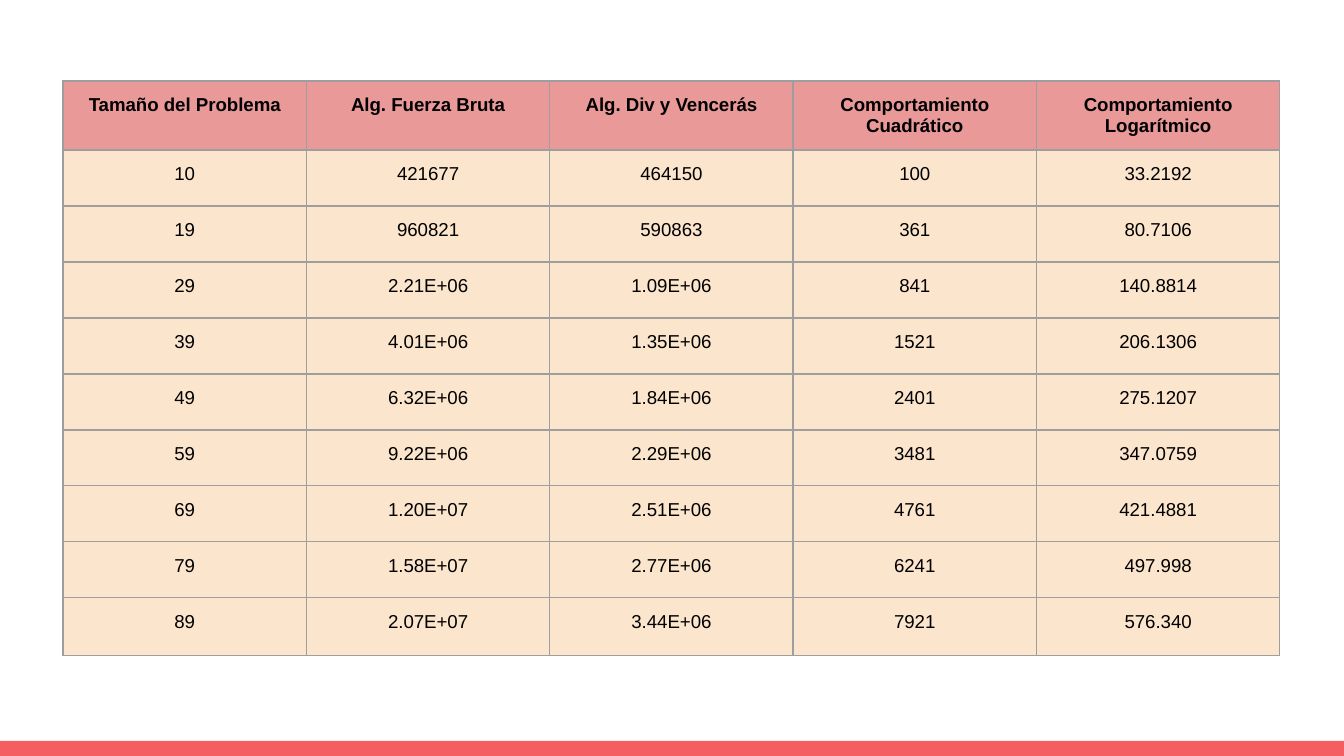
from lxml.etree import SubElement
from pptx import Presentation
from pptx.dml.color import RGBColor
from pptx.enum.shapes import MSO_SHAPE
from pptx.enum.text import MSO_ANCHOR, PP_ALIGN
from pptx.oxml.ns import qn
from pptx.util import Emu, Pt

SCALE = 914400 / 134.4
SLIDE_WIDTH, SLIDE_HEIGHT = 1344, 756
COLORS = {
    "bar": "F55E61",
    "header": "EA9999",
    "body": "FCE5CD",
    "border": "9E9E9E",
    "text": "000000",
}
HEADINGS = (
    "Tamaño del Problema",
    "Alg. Fuerza Bruta",
    "Alg. Div y Vencerás",
    "Comportamiento Cuadrático",
    "Comportamiento Logarítmico",
)
RESULTS = (
    ("10", "421677", "464150", "100", "33.2192"),
    ("19", "960821", "590863", "361", "80.7106"),
    ("29", "2.21E+06", "1.09E+06", "841", "140.8814"),
    ("39", "4.01E+06", "1.35E+06", "1521", "206.1306"),
    ("49", "6.32E+06", "1.84E+06", "2401", "275.1207"),
    ("59", "9.22E+06", "2.29E+06", "3481", "347.0759"),
    ("69", "1.20E+07", "2.51E+06", "4761", "421.4881"),
    ("79", "1.58E+07", "2.77E+06", "6241", "497.998"),
    ("89", "2.07E+07", "3.44E+06", "7921", "576.340"),
)


def px(length):
    return Emu(round(length * SCALE))


def color(name):
    return RGBColor.from_string(COLORS[name])


def set_attributes(target, values):
    for name, value in values.items():
        setattr(target, name, value)


class SlideBuilder:
    """Draws styled elements on the current slide."""

    font_format = {"name": "Arial", "size": Pt(10)}
    table_format = {"first_row": False, "horz_banding": False}
    cell_format = {
        "margin_left": Emu(91425),
        "margin_right": Emu(91425),
        "margin_top": Emu(91425),
        "margin_bottom": Emu(91425),
        "vertical_anchor": MSO_ANCHOR.TOP,
    }
    border_width = Pt(0.75)

    def __init__(self, slide):
        self.slide = slide

    def bar(self, left, top, width, height):
        shape = self.slide.shapes.add_shape(
            MSO_SHAPE.RECTANGLE, px(left), px(top), px(width), px(height)
        )
        shape.shadow.inherit = False
        shape.fill.solid()
        shape.fill.fore_color.rgb = color("bar")
        shape.line.fill.background()

    def table(self, left, top, width, row_heights, rows):
        table = self.slide.shapes.add_table(
            len(rows), len(rows[0]), px(left), px(top), px(width), px(sum(row_heights))
        ).table
        set_attributes(table, self.table_format)
        for column in table.columns:
            column.width = px(width / len(rows[0]))
        for row_index, (height, texts) in enumerate(zip(row_heights, rows)):
            table.rows[row_index].height = px(height)
            for column_index, text in enumerate(texts):
                self.cell(table.cell(row_index, column_index), text, row_index == 0)

    def cell(self, cell, text, is_header):
        set_attributes(cell, self.cell_format)
        self.borders(cell)
        cell.fill.solid()
        cell.fill.fore_color.rgb = color("header" if is_header else "body")
        paragraph = cell.text_frame.paragraphs[0]
        paragraph.alignment = PP_ALIGN.CENTER
        run = paragraph.add_run()
        run.text = text
        set_attributes(run.font, {**self.font_format, "bold": is_header})
        run.font.color.rgb = color("text")

    def borders(self, cell):
        properties = cell._tc.get_or_add_tcPr()
        for side in ("a:lnL", "a:lnR", "a:lnT", "a:lnB"):
            line = SubElement(properties, qn(side), w=str(self.border_width))
            fill = SubElement(line, qn("a:solidFill"))
            SubElement(fill, qn("a:srgbClr"), val=COLORS["border"])


def main():
    presentation = Presentation()
    size = {"slide_width": px(SLIDE_WIDTH), "slide_height": px(SLIDE_HEIGHT)}
    set_attributes(presentation, size)
    builder = SlideBuilder(presentation.slides.add_slide(presentation.slide_layouts[6]))
    builder.bar(0, 741, SLIDE_WIDTH, 15)
    row_heights = [69] + [56] * (len(RESULTS) - 1) + [58]
    builder.table(63, 81, 1217, row_heights, (HEADINGS, *RESULTS))
    presentation.save("out.pptx")


if __name__ == "__main__":
    main()
